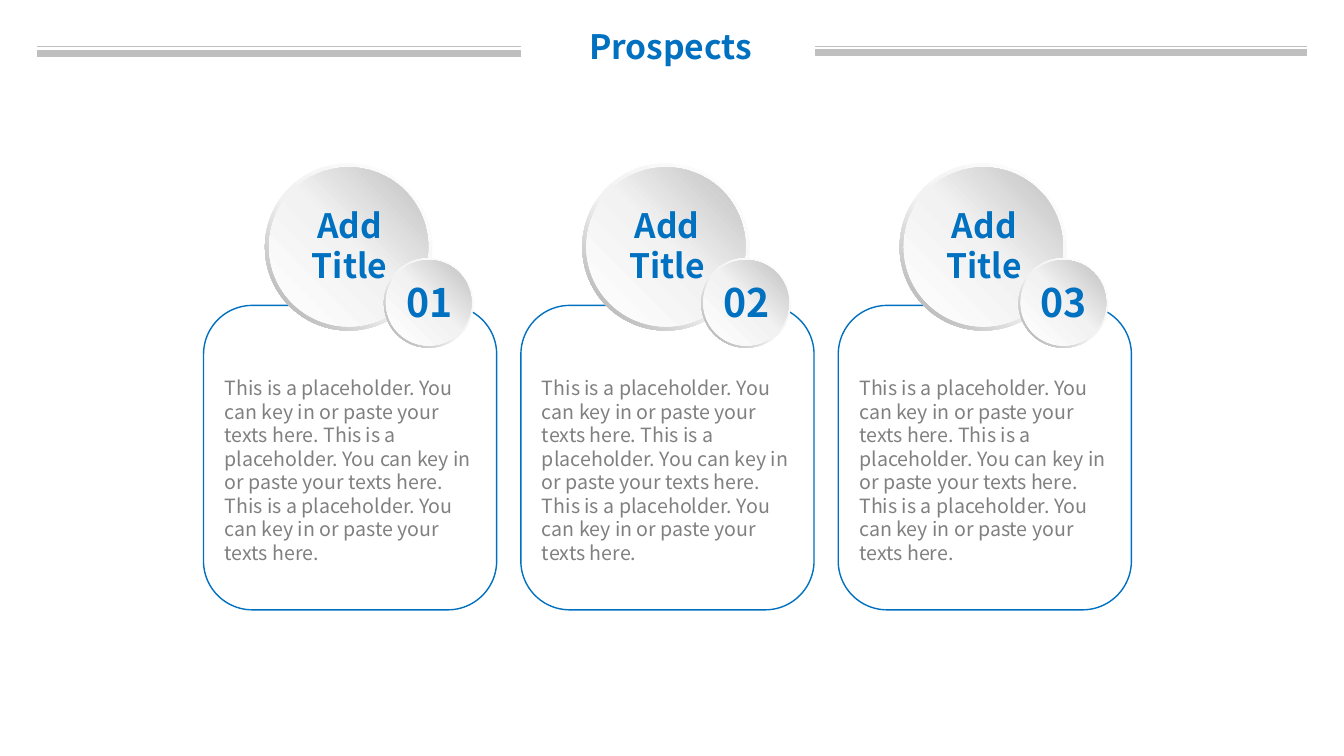
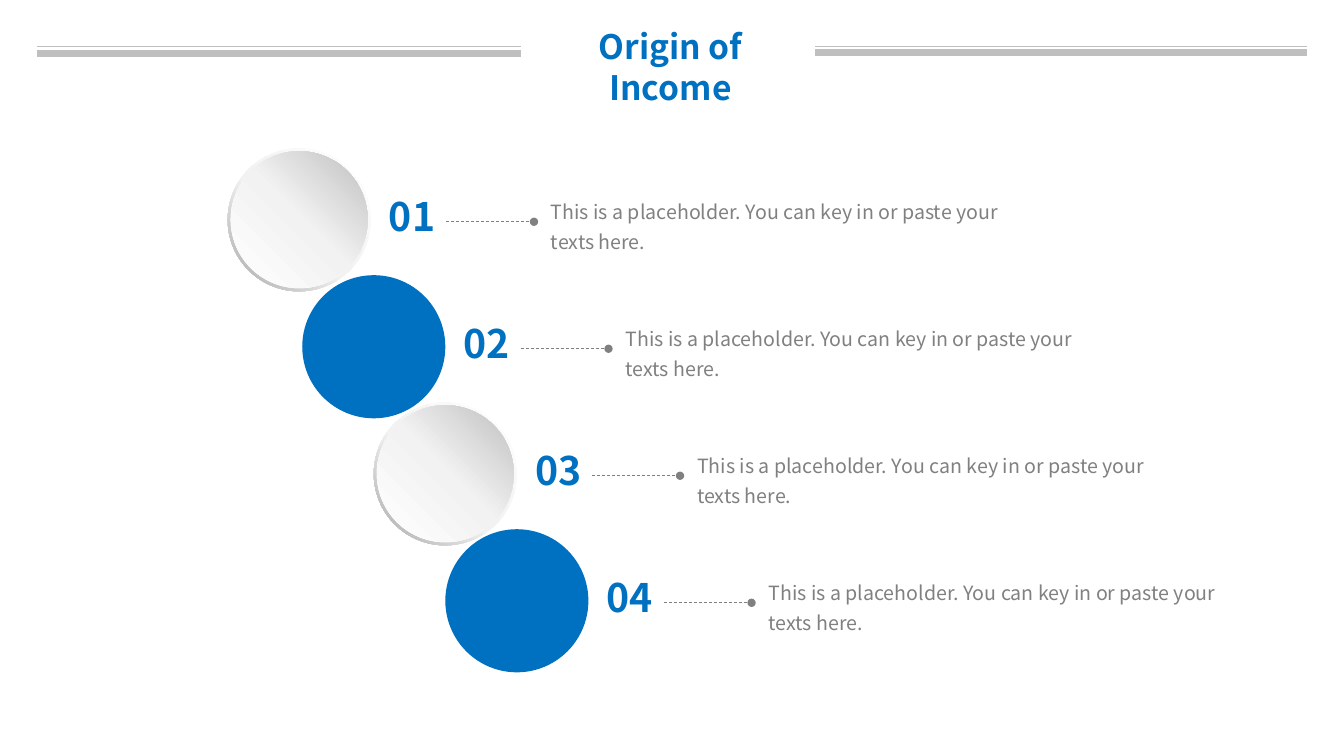
"""Build two slides: three prospect cards and a staircase of income sources."""
from copy import deepcopy

from lxml import etree
from pptx import Presentation
from pptx.dml.color import RGBColor
from pptx.enum.dml import MSO_LINE
from pptx.enum.shapes import MSO_CONNECTOR, MSO_SHAPE
from pptx.enum.text import PP_ALIGN
from pptx.oxml.ns import qn
from pptx.util import Pt

PX = 9144
FONT = "Noto Sans CJK SC"
BLUE = RGBColor(0x00, 0x70, 0xC0)
GREY = RGBColor(0x80, 0x80, 0x80)
SILVER = RGBColor(0xBF, 0xBF, 0xBF)
STEEL = RGBColor(0xA6, 0xA6, 0xA6)
MIST = RGBColor(0xF2, 0xF2, 0xF2)
WHITE = RGBColor(0xFF, 0xFF, 0xFF)
CENTER, LEFT = PP_ALIGN.CENTER, PP_ALIGN.LEFT
DONUT, ELLIPSE = MSO_SHAPE.DONUT, MSO_SHAPE.OVAL
ROUNDED = MSO_SHAPE.ROUNDED_RECTANGLE
STRAIGHT = MSO_CONNECTOR.STRAIGHT
DASH = MSO_LINE.DASH

SENTENCE = "This is a placeholder. You can key in or paste your texts here."
HEADER_RULES = [
    (809, 1297, 46, 0.75),
    (37, 517, 46, 0.75),
    (809, 1297, 52, 4.5),
    (37, 517, 53, 4.5),
]


def add_text(slide, left, top, width, height, text, size, heading=True):
    """Add a centred blue heading, or grey left-aligned body text."""
    box = slide.shapes.add_textbox(left * PX, top * PX, width * PX, height * PX)
    frame = box.text_frame
    frame.word_wrap = True
    frame.text = text
    for paragraph in frame.paragraphs:
        paragraph.alignment = CENTER if heading else LEFT
        paragraph.font.name = FONT
        paragraph.font.size = Pt(size)
        paragraph.font.bold = heading
        paragraph.font.color.rgb = BLUE if heading else GREY
    return frame


def add_disc(slide, left, top, diameter, rim, solid=False):
    """Add a ring with a face inside it, embossed by gradients or solid blue."""
    face = diameter - 2 * rim
    parts = [
        (DONUT, 0, diameter, 225, (0, 0.55, 1), (WHITE, MIST, STEEL)),
        (ELLIPSE, rim, face, 45, (0, 0.51, 1), (WHITE, MIST, SILVER)),
    ]
    for preset, inset, size, angle, positions, colors in parts:
        part = slide.shapes.add_shape(
            preset, (left + inset) * PX, (top + inset) * PX, size * PX, size * PX)
        part.shadow.inherit = False
        part.line.fill.background()
        if preset == DONUT:
            part.adjustments[0] = 0.05
        if solid:
            part.fill.solid()
            part.fill.fore_color.rgb = BLUE
            continue
        part.fill.gradient()
        part.fill.gradient_angle = angle
        stop_list = part.element.spPr.find(".//" + qn("a:gsLst"))
        stop_list.append(deepcopy(stop_list[-1]))
        for stop, position, color in zip(part.fill.gradient_stops, positions, colors):
            stop.position = position
            stop.color.rgb = color


deck = Presentation()
deck.slide_width, deck.slide_height = 1334 * PX, 750 * PX
blank = deck.slide_layouts[6]
prospects, income = [deck.slides.add_slide(blank) for _ in range(2)]

for slide, title in ((prospects, "Prospects"), (income, "Origin of Income")):
    add_text(slide, 522, 21, 287, 50, title, 24)
    for start, end, y, weight in HEADER_RULES:
        rule = slide.shapes.add_connector(STRAIGHT, start * PX, y * PX, end * PX, y * PX)
        rule.line.color.rgb = SILVER
        rule.line.width = Pt(weight)
        etree.SubElement(rule.element.spPr, qn("a:effectLst"))

for index in range(3):
    left = 202 + 315 * index
    card = prospects.shapes.add_shape(ROUNDED, left * PX, 303 * PX, 291 * PX, 302 * PX)
    card.shadow.inherit = False
    card.fill.background()
    card.line.color.rgb = BLUE
    card.line.width = Pt(1)
    body = add_text(prospects, left + 14, 369, 270, 196, " ".join([SENTENCE] * 3), 14, False)
    body.margin_left = body.margin_right = 7 * PX
    body.margin_top = body.margin_bottom = 4 * PX
    add_disc(prospects, left + 61, 162, 166, 4)
    add_text(prospects, left + 66, 198, 158, 91, "Add\nTitle", 24)
    add_disc(prospects, left + 179, 256, 89, 2)
    add_text(prospects, left + 183, 271, 82, 57, f"{index + 1:02}", 28)

for index, left in enumerate((226, 300, 371, 442)):
    top = 147 + 126 * index
    add_disc(income, left, top, 142, 3, solid=index % 2 == 1)
    leader_y = (top + 73) * PX
    leader = income.shapes.add_connector(
        STRAIGHT, (left + 217) * PX, leader_y, (left + 304) * PX, leader_y)
    leader.line.color.rgb = GREY
    leader.line.width = Pt(0.5)
    leader.line.dash_style = DASH
    outline = leader.element.spPr.find(qn("a:ln"))
    etree.SubElement(outline, qn("a:tailEnd"), type="oval")
    etree.SubElement(leader.element.spPr, qn("a:effectLst"))
    body = add_text(income, left + 311, top + 39, 465, 66, SENTENCE, 14, False)
    body.paragraphs[0].line_spacing = 1.3
    add_text(income, left + 142, top + 39, 82, 57, f"{index + 1:02}", 28)

deck.save("out.pptx")
